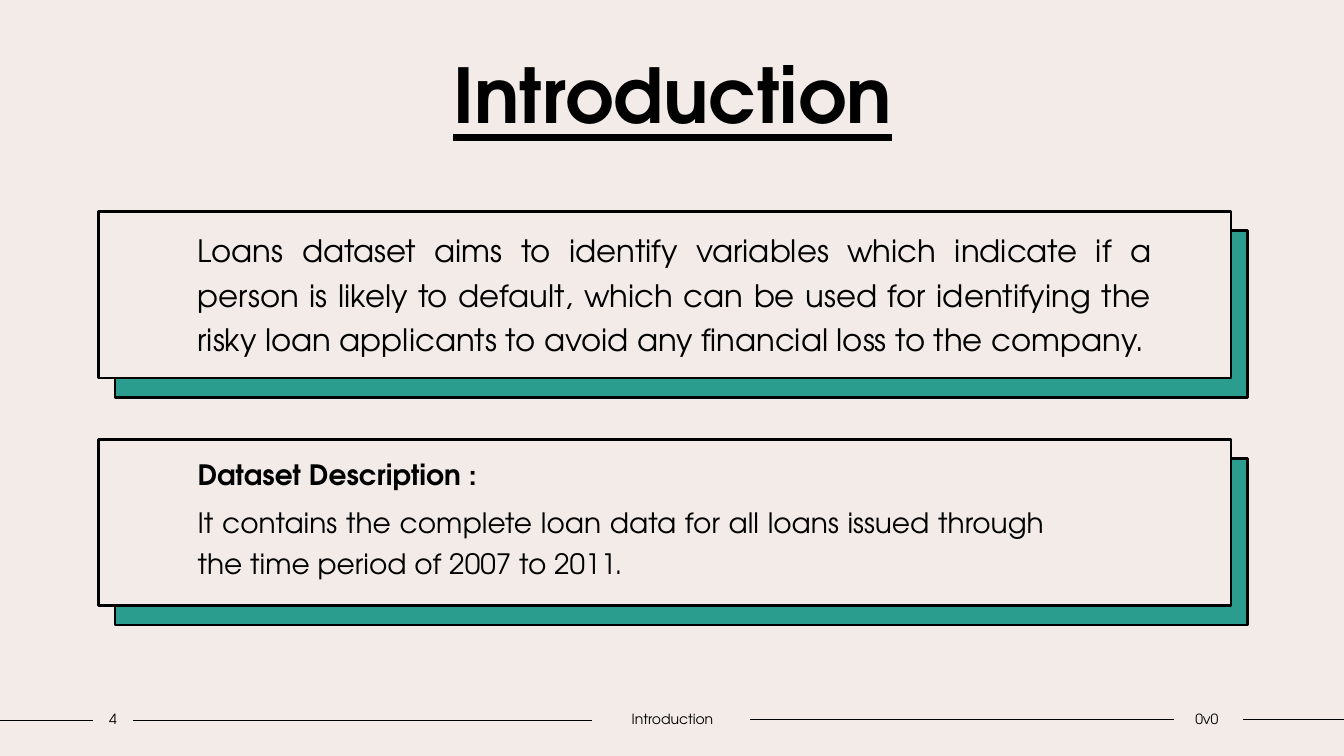
import pptx
import pptx.dml.color
import pptx.enum.shapes
import pptx.enum.text
import pptx.oxml
import pptx.oxml.ns
import pptx.util
from pptx.util import Inches

COLORS = {"paper": "F3EBE8", "teal": "2A9D8F", "ink": "000000"}
FONT = "TeX Gyre Adventor"
ALIGN = pptx.enum.text.PP_ALIGN
CARD_LEFT, CARD_WIDTH, CARD_HEIGHT = 0.98, 11.23, 1.65


def color(name):
    return pptx.dml.color.RGBColor.from_string(COLORS[name])


def add_text(paragraph, text, size=10, bold=False, underline=False,
             align=ALIGN.LEFT, spacing=1.0, after=0):
    paragraph.alignment = align
    paragraph.line_spacing = spacing
    paragraph.space_before = pptx.util.Pt(0)
    paragraph.space_after = pptx.util.Pt(after)
    run = paragraph.add_run()
    run.text = text
    font = run.font
    font.name, font.size = FONT, pptx.util.Pt(size)
    font.bold, font.underline = bold, underline
    font.color.rgb = color("ink")


def remove_bullet(paragraph):
    properties = paragraph._p.get_or_add_pPr()
    properties.set("marL", "0")
    properties.set("indent", "0")
    properties.append(pptx.oxml.parse_xml(
        f"<a:buNone {pptx.oxml.ns.nsdecls('a')}/>"))


def place(element, left, top, width, height):
    element.left, element.top = Inches(left), Inches(top)
    element.width, element.height = Inches(width), Inches(height)


def set_frame(frame, left=0, top=0.05, right=0, bottom=0.05):
    frame.word_wrap = True
    frame.auto_size = pptx.enum.text.MSO_AUTO_SIZE.NONE
    frame.vertical_anchor = pptx.enum.text.MSO_ANCHOR.MIDDLE
    frame.margin_left, frame.margin_right = Inches(left), Inches(right)
    frame.margin_top, frame.margin_bottom = Inches(top), Inches(bottom)


def paint(element, fill):
    element.fill.solid()
    element.fill.fore_color.rgb = color(fill)
    element.line.color.rgb = color("ink")
    element.line.width = pptx.util.Pt(2)


def add_card(slide, card, top, right, bottom, paragraphs):
    # Teal block behind the card
    backing = slide.shapes.add_shape(
        pptx.enum.shapes.MSO_SHAPE.RECTANGLE, Inches(CARD_LEFT + 0.16),
        Inches(top + 0.19), Inches(CARD_WIDTH), Inches(CARD_HEIGHT))
    backing.shadow.inherit = False
    paint(backing, "teal")
    card._element.addprevious(backing._element)

    # Card with its text
    place(card, CARD_LEFT, top, CARD_WIDTH, CARD_HEIGHT)
    paint(card, "paper")
    frame = card.text_frame
    set_frame(frame, left=0.98, right=right, bottom=bottom)
    for index, (text, style) in enumerate(paragraphs):
        paragraph = frame.add_paragraph() if index else frame.paragraphs[0]
        add_text(paragraph, text, spacing=1.2, **style)
        remove_bullet(paragraph)


def add_footer_line(slide, start, end, y):
    rule = slide.shapes.add_connector(
        pptx.enum.shapes.MSO_CONNECTOR.STRAIGHT,
        Inches(start), Inches(y), Inches(end), Inches(y))
    rule.line.color.rgb = color("ink")
    rule.line.width = pptx.util.Pt(1)
    rule._element.spPr.append(pptx.oxml.parse_xml(
        f"<a:effectLst {pptx.oxml.ns.nsdecls('a')}/>"))


def add_footer_label(slide, text, left, width):
    label = slide.shapes.add_textbox(
        Inches(left), Inches(7), Inches(width), Inches(0.27))
    set_frame(label.text_frame)
    add_text(label.text_frame.paragraphs[0], text, align=ALIGN.CENTER)


def main():
    deck = pptx.Presentation()
    deck.slide_width, deck.slide_height = Inches(13.33), Inches(7.5)
    slide = deck.slides.add_slide(deck.slide_layouts[3])
    slide.background.fill.solid()
    slide.background.fill.fore_color.rgb = color("paper")

    # Title
    title = slide.shapes.title
    place(title, 1.25, 0.37, 10.84, 1.11)
    set_frame(title.text_frame)
    add_text(title.text_frame.paragraphs[0], "Introduction", size=54,
             bold=True, underline=True, align=ALIGN.CENTER)

    # Cards
    add_card(slide, slide.placeholders[1], 2.1, 0.79, 0.12, [
        ("Loans dataset aims to identify variables which indicate if a person "
         "is likely to default, which can be used for identifying the risky "
         "loan applicants to avoid any financial loss to the company.",
         {"size": 22, "align": ALIGN.JUSTIFY})])
    add_card(slide, slide.placeholders[2], 4.36, 1.85, 0.2, [
        ("Dataset Description :", {"size": 20, "bold": True, "after": 6}),
        ("It contains the complete loan data for all loans issued through "
         "the time period of 2007 to 2011.",
         {"size": 20, "align": ALIGN.JUSTIFY})])

    # Footer
    for start, end, y in [(0, 0.92, 7.15), (1.32, 5.87, 7.15),
                          (7.44, 11.64, 7.14), (12.33, 13.33, 7.14)]:
        add_footer_line(slide, start, end, y)
    for text, left, width in [("4", 0.92, 0.4), ("Introduction", 5.87, 1.6),
                              ("0v0", 11.62, 0.7)]:
        add_footer_label(slide, text, left, width)

    deck.save("out.pptx")


if __name__ == "__main__":
    main()
